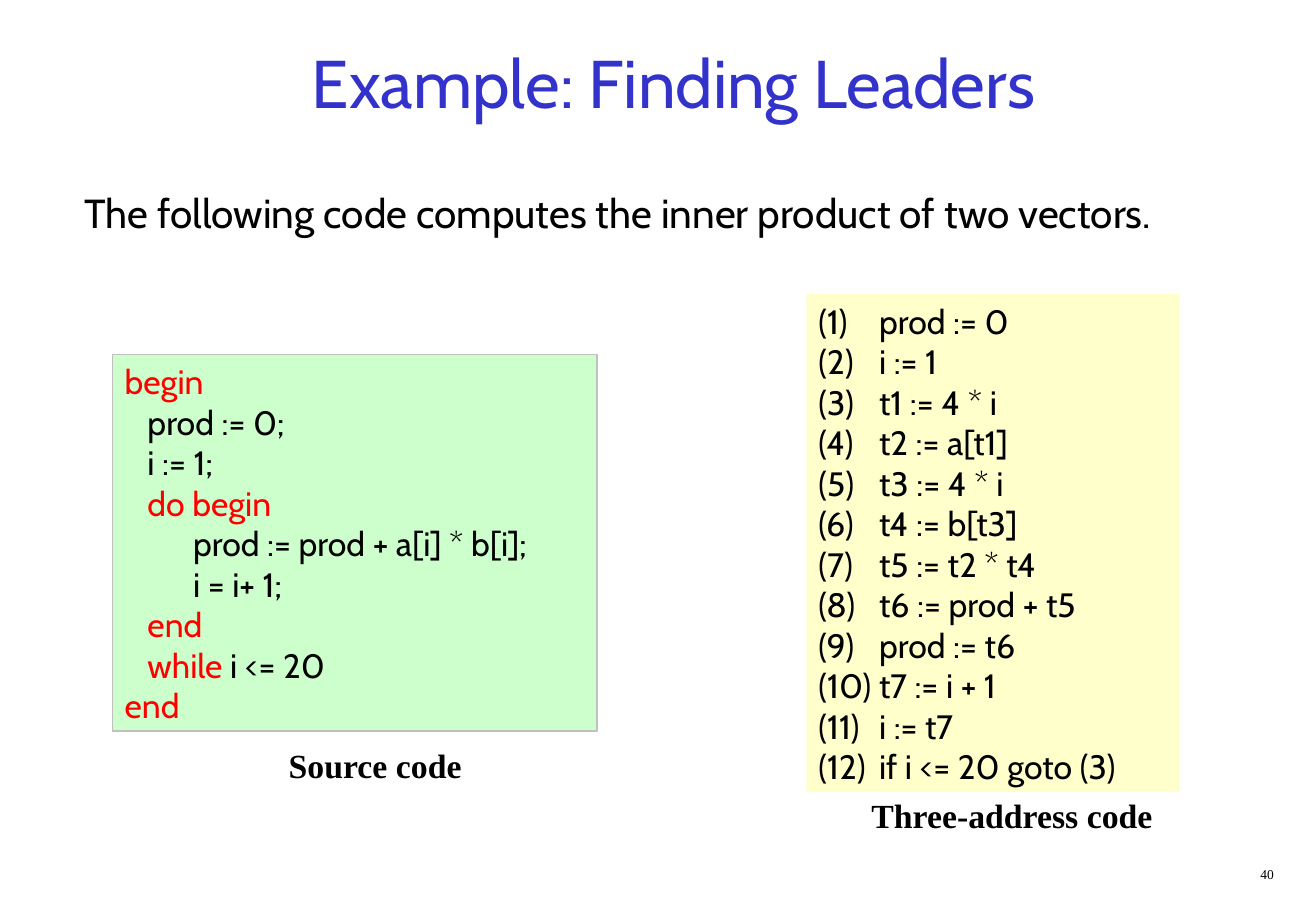
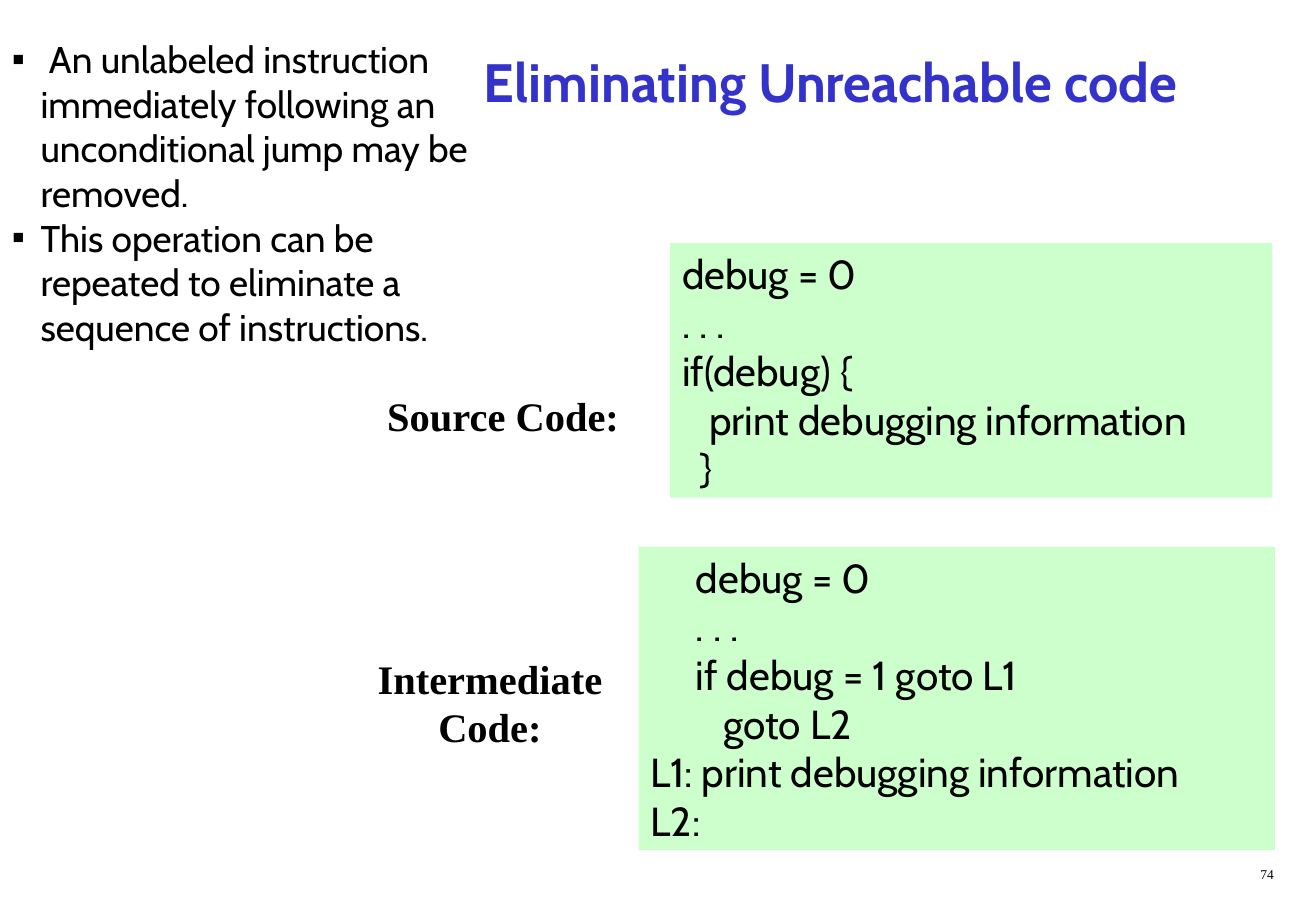
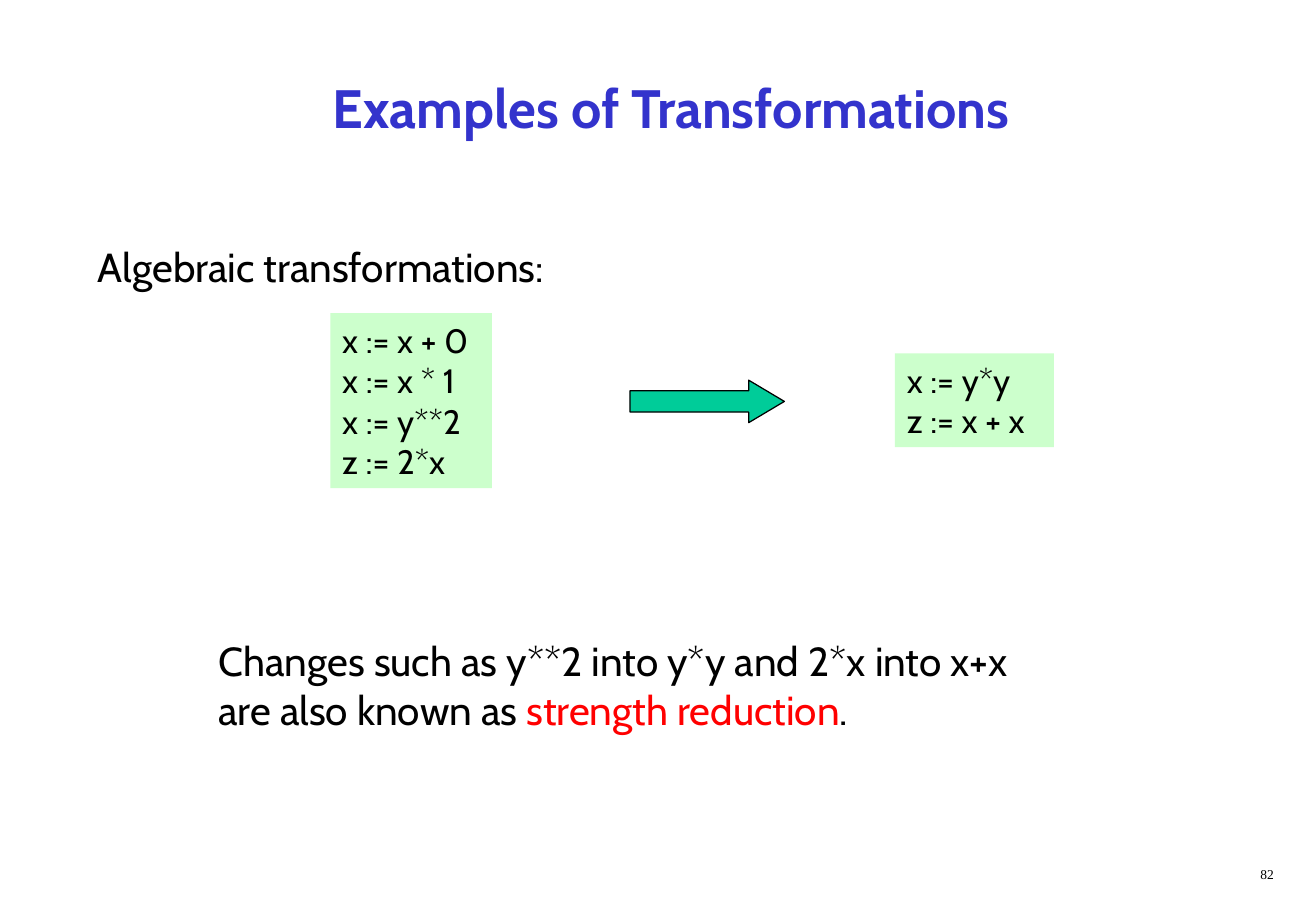
from lxml import etree
from pptx import Presentation
from pptx import util as u
from pptx.dml import color as dml
from pptx.enum import shapes, text
from pptx.oxml import ns

COLORS = {
    "title": "3333CC",
    "ink": "000000",
    "keyword": "FF0000",
    "green": "CCFFCC",
    "yellow": "FFFFCC",
    "border": "C0C0C0",
    "arrow": "00CC99",
}
SANS = "Cabin"
SERIF = "Times New Roman"
LEFT, CENTER, RIGHT = text.PP_ALIGN.LEFT, text.PP_ALIGN.CENTER, text.PP_ALIGN.RIGHT
TOP, MIDDLE = text.MSO_ANCHOR.TOP, text.MSO_ANCHOR.MIDDLE


def rgb(name):
    return dml.RGBColor.from_string(COLORS[name])


def cm(box):
    return [u.Cm(length) for length in box]


class Deck:
    def __init__(self):
        self.prs = Presentation()
        self.prs.slide_width, self.prs.slide_height = u.Cm(27.53), u.Cm(19.05)
        self.slide = None

    def start(self, number):
        self.slide = self.prs.slides.add_slide(self.prs.slide_layouts[1])
        self.label((21.16, 17.98, 5.74, 0.64), [str(number)], 8, align=RIGHT, bold=False)

    def set_lines(self, frame, lines, size, font=SANS, color="ink", bold=False,
                  align=LEFT, anchor=TOP, indent=0, bullet=None):
        frame.word_wrap = True
        frame.auto_size = text.MSO_AUTO_SIZE.NONE
        frame.vertical_anchor = anchor
        frame.margin_left = frame.margin_right = u.Cm(0.25)
        frame.margin_top = frame.margin_bottom = u.Cm(0.13)
        for index, line in enumerate(lines):
            paragraph = frame.paragraphs[0] if index == 0 else frame.add_paragraph()
            paragraph.alignment = align
            paragraph.space_before = u.Pt(0)
            self.indent(paragraph, indent, bullet)
            runs = [(line, color)] if isinstance(line, str) else line
            for words, run_color in runs:
                run = paragraph.add_run()
                run.text = words
                run.font.name = font
                run.font.size = u.Pt(size)
                run.font.bold = bold
                run.font.color.rgb = rgb(run_color)

    def indent(self, paragraph, indent, bullet):
        props = paragraph._p.get_or_add_pPr()
        props.set("marL", str(u.Cm(indent)))
        props.set("indent", str(-u.Cm(indent) if bullet else 0))
        if bullet:
            etree.SubElement(props, ns.qn("a:buFont")).set("typeface", SERIF)
            etree.SubElement(props, ns.qn("a:buChar")).set("char", bullet)
        else:
            etree.SubElement(props, ns.qn("a:buNone"))

    def place(self, shape, box):
        shape.left, shape.top, shape.width, shape.height = cm(box)
        return shape.text_frame

    def title(self, words, size, box=(1.07, 0.43, 26.04, 2.54), bold=True, indent=0):
        frame = self.place(self.slide.shapes.title, box)
        self.set_lines(frame, [words], size, color="title", bold=bold,
                       align=CENTER, anchor=MIDDLE, indent=indent)

    def body(self, box, lines, size, **style):
        frame = self.place(self.slide.placeholders[1], box)
        self.set_lines(frame, lines, size, **style)

    def label(self, box, lines, size, font=SERIF, bold=True, **style):
        frame = self.slide.shapes.add_textbox(*cm(box)).text_frame
        self.set_lines(frame, lines, size, font=font, bold=bold, **style)

    def shape(self, kind, box, fill, line=None):
        shape = self.slide.shapes.add_shape(kind, *cm(box))
        shape.shadow.inherit = False
        shape.fill.solid()
        shape.fill.fore_color.rgb = rgb(fill)
        if line:
            shape.line.color.rgb = rgb(line)
            shape.line.width = u.Pt(0.75)
        else:
            shape.line.fill.background()
        return shape

    def code(self, box, lines, size, fill="green", line=None):
        panel = self.shape(shapes.MSO_SHAPE.RECTANGLE, box, fill, line)
        self.set_lines(panel.text_frame, lines, size)
        return panel

    def numbered_code(self, box, statements, size, fill):
        lines = [f"({n})\t{statement}" for n, statement in enumerate(statements, 1)]
        panel = self.code(box, lines, size, fill)
        for n, paragraph in enumerate(panel.text_frame.paragraphs, 1):
            tabs = etree.SubElement(paragraph._p.get_or_add_pPr(), ns.qn("a:tabLst"))
            stop = etree.SubElement(tabs, ns.qn("a:tab"))
            stop.set("pos", str(u.Cm(1.21 if n < 10 else 1.46)))
            stop.set("algn", "l")

    def arrow(self, box):
        arrow = self.shape(shapes.MSO_SHAPE.RIGHT_ARROW, box, "arrow", "ink")
        arrow.adjustments[0], arrow.adjustments[1] = 0.5, 0.84


def finding_leaders(deck):
    deck.start(40)
    deck.title("Example: Finding Leaders", 40, bold=False)
    deck.body((1.52, 3.81, 25.65, 1.27),
              ["The following code computes the inner product of two vectors."], 24)
    source = [
        [("begin", "keyword")],
        "   prod := 0;",
        "   i := 1;",
        [("   do begin", "keyword")],
        "         prod := prod + a[i] * b[i];",
        "         i = i+ 1;",
        [("   end", "keyword")],
        [("   while", "keyword"), (" i <= 20", "ink")],
        [("end", "keyword")],
    ]
    deck.code((2.36, 7.42, 10.13, 7.87), source, 20, line="border")
    deck.label((5.79, 15.44, 4.4, 1.12), ["Source code"], 20)
    statements = [
        "prod := 0", "i := 1", "t1 := 4 * i", "t2 := a[t1]", "t3 := 4 * i",
        "t4 := b[t3]", "t5 := t2 * t4", "t6 := prod + t5", "prod := t6",
        "t7 := i + 1", "i := t7", "if i <= 20 goto (3)",
    ]
    deck.numbered_code((16.87, 6.15, 7.8, 10.41), statements, 20, "yellow")
    deck.label((17.98, 16.48, 6.4, 1.12), ["Three-address code"], 20)


def unreachable_code(deck):
    deck.start(74)
    deck.title("Eliminating Unreachable code", 32, indent=6.58)
    source = ["debug = 0", ". . .", "if(debug) {", "   print debugging information", "  }"]
    deck.code((14.02, 5.08, 12.6, 5.33), source, 24)
    intermediate = [
        "     debug = 0",
        "     . . .",
        "     if debug = 1 goto L1",
        "        goto L2",
        "L1: print debugging information",
        "L2:",
    ]
    deck.code((13.36, 11.43, 13.31, 6.35), intermediate, 24)
    deck.label((7.85, 8.05, 5.6, 1.27), ["Source Code:"], 24)
    deck.label((7.5, 13.54, 5.5, 2.29), ["Intermediate", "Code:"], 24, align=CENTER)
    rules = [
        " An unlabeled instruction immediately following an unconditional jump may be removed.",
        "This operation can be repeated to eliminate a sequence of instructions.",
    ]
    deck.body((0, 0.64, 11, 10.49), rules, 22, indent=0.6, bullet="▪")


def transformations(deck):
    deck.start(82)
    deck.title("Examples of Transformations", 32, box=(1.22, 0.64, 25.65, 3.18))
    deck.body((1.8, 4.93, 11.13, 1.27), ["Algebraic transformations:"], 24)
    before = ["x := x + 0", "x := x * 1", "x := y**2", "z := 2*x"]
    deck.code((6.91, 6.55, 3.38, 3.66), before, 20)
    deck.arrow((13.18, 7.95, 3.23, 0.89))
    deck.code((18.72, 7.39, 3.33, 1.96), ["x := y*y", "z := x + x"], 20)
    remark = [
        "Changes such as y**2 into y*y and 2*x into x+x",
        [("are also known as ", "ink"), ("strength reduction", "keyword"), (".", "ink")],
    ]
    deck.label((4.32, 13.18, 19.28, 2.29), remark, 24, font=SANS, bold=False, anchor=MIDDLE)


def main():
    deck = Deck()
    for build in (finding_leaders, unreachable_code, transformations):
        build(deck)
    deck.prs.save("out.pptx")


if __name__ == "__main__":
    main()
